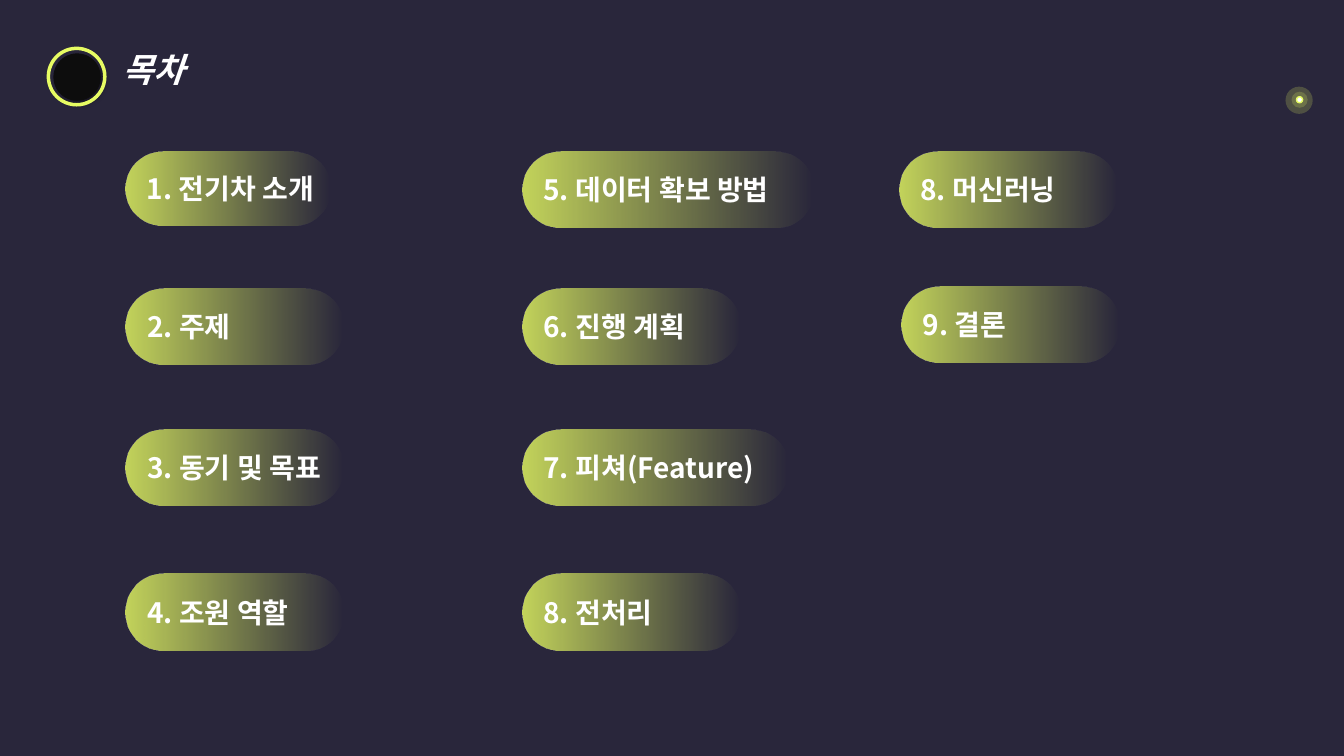
from dataclasses import dataclass

from lxml import etree
from pptx import Presentation
from pptx import util as u
from pptx.dml import color
from pptx.enum import shapes, text
from pptx.oxml import ns


@dataclass(frozen=True)
class Theme:
    font: str = "Noto Sans CJK KR"
    background: color.RGBColor = color.RGBColor.from_string("29263B")
    lime: color.RGBColor = color.RGBColor.from_string("E7FC63")
    dark: color.RGBColor = color.RGBColor.from_string("0D0D0D")
    white: color.RGBColor = color.RGBColor.from_string("FFFFFF")
    title_size: int = 24
    item_size: int = 20


theme = Theme()


def add_shape(kind, left, top, width, height, fill=None, line=None, line_width=1, alpha=None):
    shape = page.shapes.add_shape(
        kind, u.Inches(left), u.Inches(top), u.Inches(width), u.Inches(height))
    shape.shadow.inherit = False
    if fill is None:
        shape.fill.background()
    else:
        shape.fill.solid()
        shape.fill.fore_color.rgb = fill
    if alpha is not None:
        rgb = next(shape.fill._xPr.iter(ns.qn("a:srgbClr")))
        etree.SubElement(rgb, ns.qn("a:alpha"), val=str(alpha * 1000))
    if line is None:
        shape.line.fill.background()
    else:
        shape.line.color.rgb = line
        shape.line.width = u.Pt(line_width)
    return shape


def write(para, content, formats):
    para.alignment = text.PP_ALIGN.LEFT
    span = para.add_run()
    span.text = content
    for name, value in formats.items():
        setattr(span.font, name, value)
    span.font.color.rgb = theme.white
    etree.SubElement(span.font._element, ns.qn("a:ea"), typeface=theme.font)


deck = Presentation()
deck.slide_width, deck.slide_height = u.Inches(13.33), u.Inches(7.5)
page = deck.slides.add_slide(deck.slide_layouts[6])
page.background.fill.solid()
page.background.fill.fore_color.rgb = theme.background

# Title
box = page.shapes.add_textbox(u.Inches(1.12), u.Inches(0.24), u.Inches(6.66), u.Inches(0.63))
box.text_frame.word_wrap = True
para = box.text_frame.paragraphs[0]
para.line_spacing = 1.5
write(para, "목차", {"name": theme.font, "size": u.Pt(theme.title_size), "bold": True, "italic": True})

# Round badge: shaded disc inside a lime ring
oval = shapes.MSO_SHAPE.OVAL
disc = add_shape(oval, 0.53, 0.53, 0.47, 0.47, fill=theme.dark)
effects = disc._element.spPr.find(ns.qn("a:effectLst"))
shadow = etree.SubElement(effects, ns.qn("a:outerShdw"), blurRad=str(u.Pt(4)),
                          dist=str(u.Pt(3)), dir=str(45 * 60000))
shade = etree.SubElement(shadow, ns.qn("a:srgbClr"), val="000000")
etree.SubElement(shade, ns.qn("a:alpha"), val="40000")
add_shape(oval, 0.48, 0.48, 0.56, 0.56, line=theme.lime, line_width=2.5)

# Glowing dot
for left, top, size in [(12.75, 0.86, 0.27), (12.81, 0.91, 0.16)]:
    add_shape(oval, left, top, size, size, fill=theme.lime, alpha=20)
add_shape(oval, 12.86, 0.96, 0.06, 0.06, fill=theme.white, line=theme.lime)

# Contents: left, top, width, height, label
row_tops = [1.5, 2.86, 4.26, 5.69]
width, height = 2.16, 0.76
contents = [
    (1.25, row_tops[0], 2.03, 0.74, "1. 전기차 소개"),
    (1.25, row_tops[1], width, height, "2. 주제"),
    (1.25, row_tops[2], width, height, "3. 동기 및 목표"),
    (1.25, row_tops[3], width, height, "4. 조원 역할"),
    (5.18, row_tops[0], 2.89, height, "5. 데이터 확보 방법"),
    (5.18, row_tops[1], width, height, "6. 진행 계획"),
    (5.18, row_tops[2], 2.64, height, "7. 피쳐(Feature)"),
    (5.18, row_tops[3], width, height, "8. 전처리"),
    (8.92, row_tops[0], width, height, "8. 머신러닝"),
    (8.94, 2.84, width, height, "9. 결론"),
]
for left, top, pill_width, pill_height, label in contents:
    pill = add_shape(shapes.MSO_SHAPE.ROUNDED_RECTANGLE, left, top, pill_width, pill_height)
    pill.adjustments[0] = 0.5

    # Lime fading out towards the right
    pill.fill.gradient()
    pill.fill.gradient_angle = 180
    for stop, alpha in zip(pill.fill.gradient_stops, (0, 82)):
        stop.color.rgb = theme.lime
        rgb = next(stop._gs.iter(ns.qn("a:srgbClr")))
        etree.SubElement(rgb, ns.qn("a:alpha"), val=str(alpha * 1000))

    frame = pill.text_frame
    frame.word_wrap = False
    frame.vertical_anchor = text.MSO_ANCHOR.MIDDLE
    write(frame.paragraphs[0], label,
          {"name": theme.font, "size": u.Pt(theme.item_size), "bold": True})

deck.save("out.pptx")
